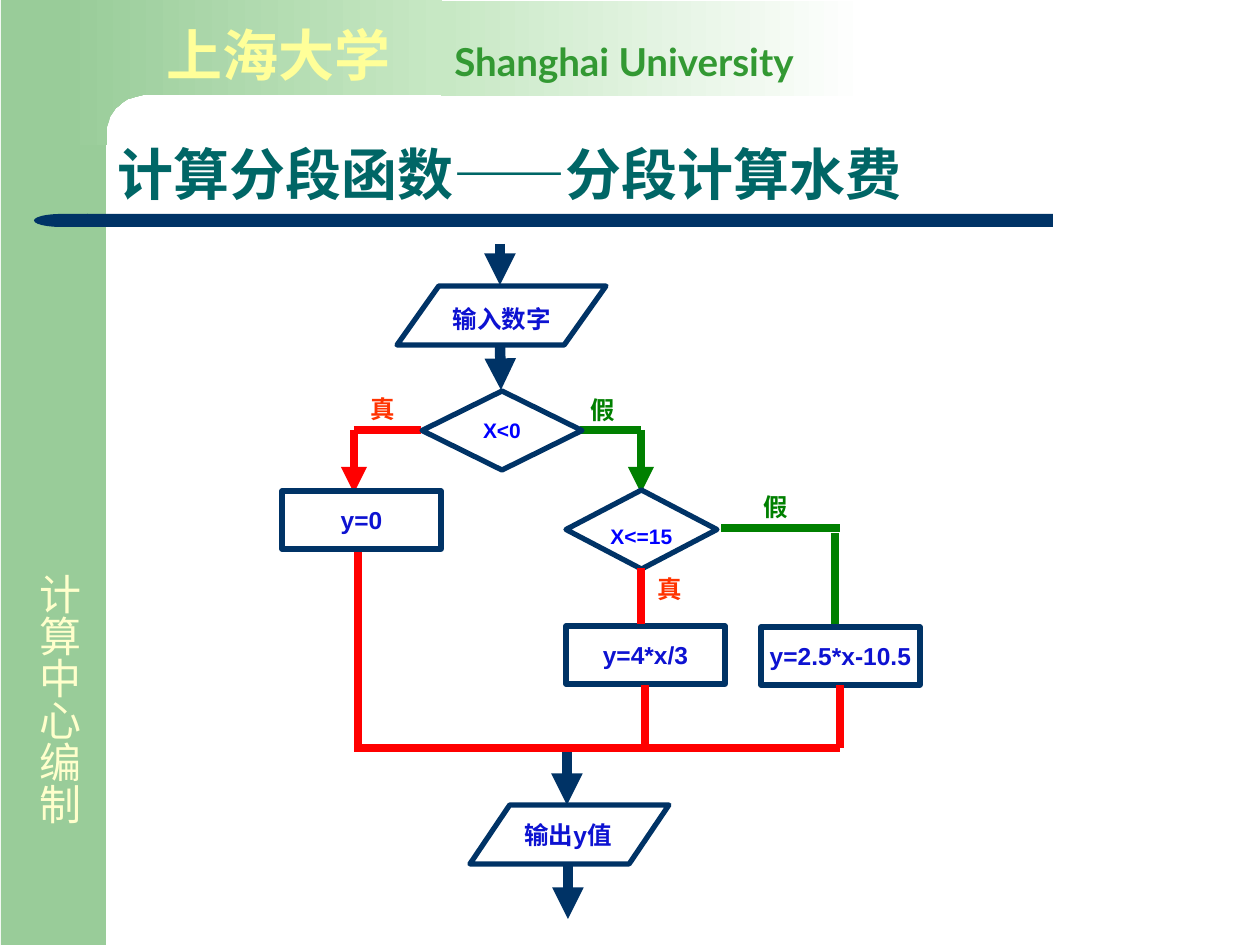
import math
from lxml import etree
from pptx import Presentation
from pptx.dml.color import RGBColor
from pptx.enum.shapes import MSO_CONNECTOR, MSO_SHAPE
from pptx.enum.text import MSO_ANCHOR, MSO_AUTO_SIZE, PP_ALIGN
from pptx.oxml.ns import qn
from pptx.util import Pt

PX = 914400 // 126
RECT, DELAY = MSO_SHAPE.RECTANGLE, MSO_SHAPE.FLOWCHART_DELAY
DIAMOND, DATA = MSO_SHAPE.DIAMOND, MSO_SHAPE.FLOWCHART_DATA
STRAIGHT = MSO_CONNECTOR.STRAIGHT
MIDDLE, BOTTOM = MSO_ANCHOR.MIDDLE, MSO_ANCHOR.BOTTOM
LEFT, CENTER = PP_ALIGN.LEFT, PP_ALIGN.CENTER
COLORS = {
    "band": "99CC99", "pale": "C7E8C4", "white": "FFFFFF", "navy": "003366",
    "cream": "FFFFCC", "yellow": "FFFF99", "leaf": "339933", "teal": "006666",
    "blue": "0D12D1", "test": "0000FF", "true": "FF3300", "red": "FF0000",
    "green": "008000",
}


def color(name):
    return RGBColor.from_string(COLORS[name])


def write(frame, text, size=14, ink="blue", bold=True, font="Arial",
          align=CENTER, anchor=MIDDLE, wrap=False):
    """Add a run to the first paragraph of the frame."""
    frame.auto_size = MSO_AUTO_SIZE.NONE
    frame.word_wrap = wrap
    frame.vertical_anchor = anchor
    par = frame.paragraphs[0]
    par.alignment = align
    run = par.add_run()
    run.text = text
    run.font.size = Pt(size)
    run.font.name = font
    run.font.bold = bold
    run.font.color.rgb = color(ink)
    return par


def add_box(slide, area):
    return slide.shapes.add_textbox(*(n * PX for n in area)).text_frame


def paint(shape, *fill):
    """Fill with one colour, or with a left-to-right blend of two."""
    shape.shadow.inherit = False
    shape.line.fill.background()
    if len(fill) == 1:
        shape.fill.solid()
        shape.fill.fore_color.rgb = color(fill[0])
        return
    shape.fill.gradient()
    shape.fill.gradient_angle = 0
    for stop, name in zip(shape.fill.gradient_stops, fill):
        stop.color.rgb = color(name)


def add_block(slide, kind, area, *fill):
    shape = slide.shapes.add_shape(kind, *(n * PX for n in area))
    paint(shape, *fill)
    return shape


def add_node(slide, kind, area):
    shape = slide.shapes.add_shape(kind, *(n * PX for n in area))
    shape.shadow.inherit = False
    shape.fill.background()
    shape.line.color.rgb = color("navy")
    shape.line.width = Pt(3)
    return shape.text_frame


def add_line(slide, ends, ink, width=5, arrow=False):
    line = slide.shapes.add_connector(STRAIGHT, *(n * PX for n in ends))
    line.line.color.rgb = color(ink)
    line.line.width = Pt(width)
    props = line.line._get_or_add_ln()
    if arrow:
        etree.SubElement(props, qn("a:tailEnd"), type="triangle")
    etree.SubElement(props.getparent(), qn("a:effectLst"))


def add_corner(slide):
    """Draw the top band with its rounded inner corner."""
    arc = [(147 - 40 * math.sin(t), 131 - 36 * math.cos(t))
           for t in (math.pi / 2 * i / 16 for i in range(17))]
    path = slide.shapes.build_freeform(442, 0, PX)
    path.add_line_segments([(442, 95), *arc, (107, 145), (64, 145), (64, 0)])
    paint(path.convert_to_shape(), "band", "pale")


def add_frame(slide):
    add_block(slide, RECT, (1, 0, 105, 945), "band")
    add_corner(slide)
    add_block(slide, RECT, (87, 214, 966, 13), "navy")
    cap = add_block(slide, DELAY, (34, 214, 54, 13), "navy")
    cap._element.spPr.find(qn("a:xfrm")).set("flipH", "1")
    add_block(slide, RECT, (441, 1, 427, 95), "pale", "white")

    side = add_box(slide, (15, 562, 76, 287))
    side.margin_left = side.margin_top = 12 * PX
    side.margin_right = side.margin_bottom = 0
    write(side, "计算中心编制", size=24, ink="cream", bold=False, align=LEFT,
          wrap=True)
    side._txBody.bodyPr.set("vert", "eaVert")

    head = add_box(slide, (154, 15, 774, 79))
    props = head.paragraphs[0]._p.get_or_add_pPr()
    tabs = etree.SubElement(props, qn("a:tabLst"))
    etree.SubElement(tabs, qn("a:tab"), pos=str(288 * PX), algn="l")
    write(head, "上海大学\t", size=32, ink="yellow", align=LEFT, wrap=True)
    write(head, "Shanghai University", size=22, ink="leaf", font="Lato",
          align=LEFT, wrap=True)


def add_title(slide):
    title = slide.shapes.title
    title.left, title.top, title.width, title.height = (
        n * PX for n in (105, 106, 1092, 108))
    par = write(title.text_frame, "计算分段函数——分段计算水费", size=32,
                ink="teal", align=LEFT, anchor=BOTTOM, wrap=True)
    par.line_spacing = 0.9


def add_flow(slide):
    for ends in ((500, 244, 500, 285), (500, 344, 501, 390),
                 (567, 751, 567, 805), (568, 866, 568, 919)):
        add_line(slide, ends, "navy", width=6, arrow=True)
    for ends, ink, arrow in (
            ((580, 430, 641, 430), "green", False),
            ((641, 430, 641, 493), "green", True),
            ((354, 430, 421, 430), "red", False),
            ((354, 430, 354, 493), "red", True),
            ((835, 626, 835, 533), "green", False),
            ((840, 528, 721, 528), "green", False),
            ((358, 552, 358, 748), "red", False),
            ((354, 748, 840, 748), "red", False)):
        add_line(slide, ends, ink, arrow=arrow)

    for kind, area, label, place, style in (
            (DATA, (397, 286, 209, 59), "输入数字", (430, 297, 144, 43), {}),
            (DATA, (470, 805, 199, 59), "输出y值", (512, 813, 140, 43),
             {"align": LEFT}),
            (DIAMOND, (422, 391, 160, 79), "X<0", (454, 411, 96, 38),
             {"size": 12, "ink": "test"}),
            (DIAMOND, (566, 490, 151, 79), "X<=15", (596, 517, 91, 38),
             {"size": 12, "ink": "test"})):
        add_node(slide, kind, area)
        write(add_box(slide, place), label, **style)
    for left, top, label in ((282, 491, "y=0"), (566, 626, "y=4*x/3"),
                             (761, 627, "y=2.5*x-10.5")):
        write(add_node(slide, RECT, (left, top, 159, 58)), label)
    for ends in ((641, 568, 641, 624), (645, 685, 645, 748),
                 (840, 685, 840, 748)):
        add_line(slide, ends, "red")
    for area, label, ink in (
            ((358, 392, 49, 33), "真", "true"),
            ((645, 572, 49, 33), "真", "true"),
            ((574, 393, 58, 33), "假", "green"),
            ((747, 490, 58, 33), "假", "green")):
        write(add_box(slide, area), label, ink=ink)


def main():
    deck = Presentation()
    deck.slide_width, deck.slide_height = 1260 * PX, 945 * PX
    slide = deck.slides.add_slide(deck.slide_layouts[5])
    add_frame(slide)
    add_title(slide)
    add_flow(slide)
    deck.save("out.pptx")


if __name__ == "__main__":
    main()
